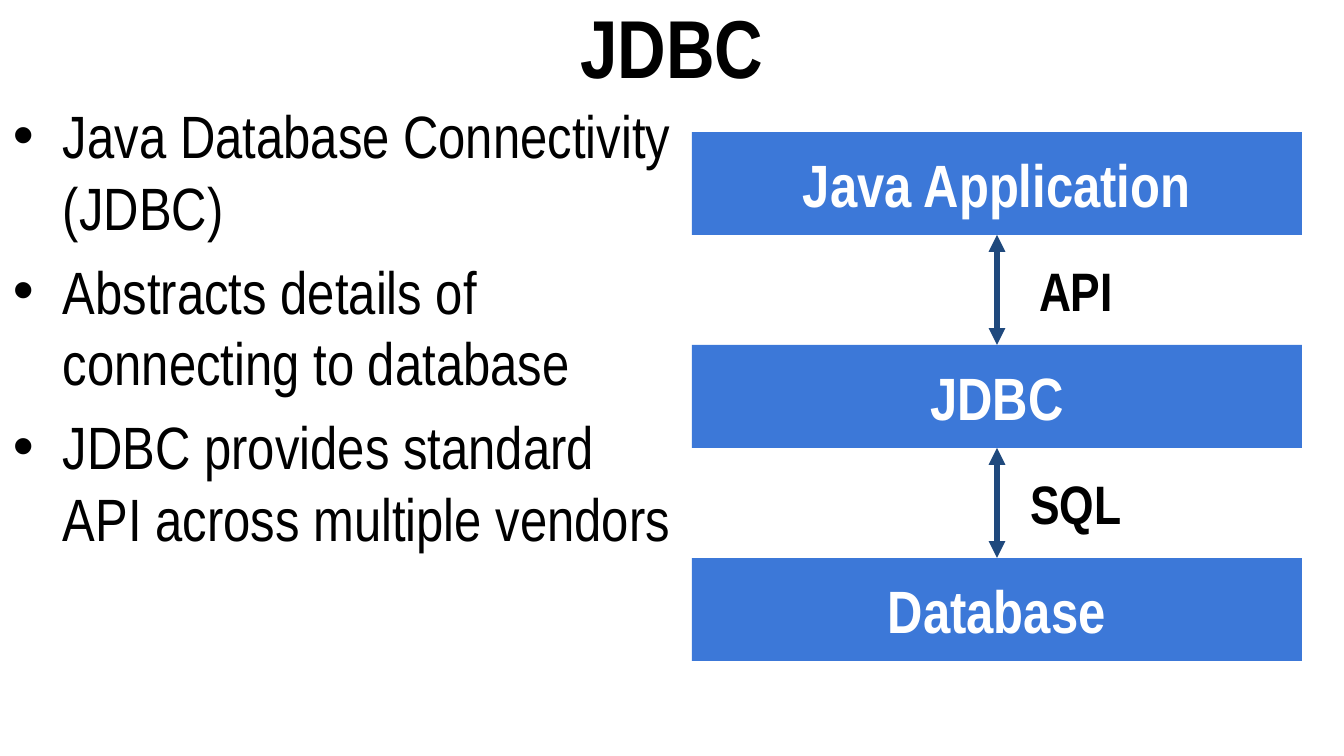
from pptx import Presentation
from pptx import util as u
from pptx.dml.color import RGBColor
from pptx.enum import shapes, text
from pptx.oxml.ns import qn
from lxml import etree

PX = 914400 / 134.4


def px(*lengths):
    """Turn px lengths into a list of EMU."""
    return [u.Emu(round(n * PX)) for n in lengths]


def write(shape, lines, size, color, bold=True, inset=13,
          align=text.PP_ALIGN.CENTER, anchor=text.MSO_ANCHOR.MIDDLE):
    frame = shape.text_frame
    side, edge = px(13, inset)
    layout = {"word_wrap": True, "auto_size": text.MSO_AUTO_SIZE.NONE,
              "vertical_anchor": anchor, "margin_left": side,
              "margin_right": side, "margin_top": edge, "margin_bottom": edge}
    for name, value in layout.items():
        setattr(frame, name, value)
    frame.text = "\n".join(lines)
    for paragraph in frame.paragraphs:
        paragraph.alignment = align
        font = paragraph.runs[0].font
        for name, value in {"name": "Arial Narrow", "size": u.Pt(size), "bold": bold}.items():
            setattr(font, name, value)
        font.color.rgb = RGBColor.from_string(color)
    return frame


prs = Presentation()
prs.slide_width, prs.slide_height = px(1344, 756)
slide = prs.slides.add_slide(prs.slide_layouts[5])

title = slide.shapes.title
title.left, title.top, title.width, title.height = px(0, 0, 1344, 92)
write(title, ["JDBC"], 44, "000000", inset=7)

points = slide.shapes.add_textbox(*px(0, 92, 692, 664))
points_frame = write(points, [
    "Java Database Connectivity (JDBC)",
    "Abstracts details of connecting to database",
    "JDBC provides standard API across multiple vendors",
], 32, "000000", bold=False, inset=7,
    align=text.PP_ALIGN.LEFT, anchor=text.MSO_ANCHOR.TOP)
indent = px(50)[0]
for point in points_frame.paragraphs:
    point.space_before = u.Pt(6.4)
    properties = point._p.get_or_add_pPr()
    properties.set("marL", str(indent))
    properties.set("indent", str(-indent))
    etree.SubElement(properties, qn("a:buFont"), typeface="Arial")
    etree.SubElement(properties, qn("a:buChar"), char="•")

# Layers of the stack, top to bottom, evenly spaced
LEFT, TOP, WIDTH, HEIGHT, PITCH = 692, 132, 610, 103, 213
for i, layer in enumerate(["Java Application", "JDBC", "Database"]):
    box = slide.shapes.add_shape(shapes.MSO_SHAPE.RECTANGLE,
                                 *px(LEFT, TOP + i * PITCH, WIDTH, HEIGHT))
    box.shadow.inherit = False
    box.fill.solid()
    box.fill.fore_color.rgb = RGBColor.from_string("3C78D8")
    box.line.fill.background()
    write(box, [layer], 32, "FFFFFF")

# Each gap between layers holds a two-way arrow and the interface name
middle = LEFT + WIDTH // 2
for i, interface in enumerate(["API", "SQL"]):
    start = TOP + HEIGHT + i * PITCH
    end = TOP + (i + 1) * PITCH
    arrow = slide.shapes.add_connector(shapes.MSO_CONNECTOR.STRAIGHT,
                                       *px(middle, start, middle, end))
    arrow.line.width = u.Pt(3)
    arrow.line.color.rgb = RGBColor.from_string("1F497D")
    for tip in ("a:headEnd", "a:tailEnd"):
        etree.SubElement(arrow.line._get_or_add_ln(), qn(tip), type="triangle")
    etree.SubElement(arrow._element.spPr, qn("a:effectLst"))

    label = slide.shapes.add_textbox(*px(middle + 3, start - 8, 152, end - start + 16))
    write(label, [interface], 29, "000000")

prs.save("out.pptx")
